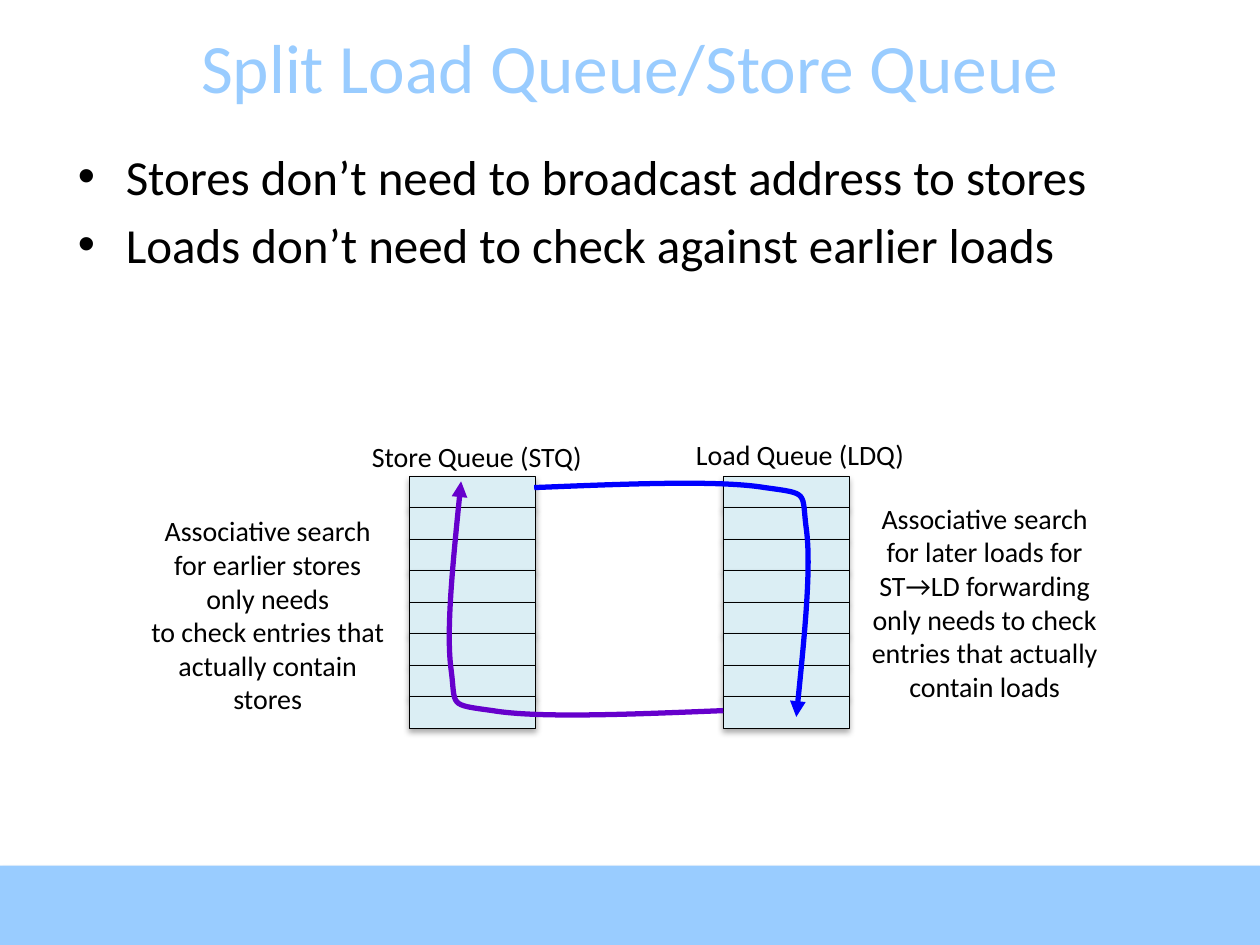
from lxml.etree import SubElement
from pptx import Presentation
from pptx.dml.color import RGBColor
from pptx.enum.shapes import MSO_SHAPE as Shape
from pptx.enum.text import MSO_ANCHOR as Anchor, PP_ALIGN as Align
from pptx.oxml.ns import qn
from pptx.util import Inches, Pt

# The slide is a grid of 40 columns by 30 rows; a queue entry is one row high
COLUMNS, ROWS = 40, 30
UNIT = Inches(0.25)
SKY, ENTRY_BLUE, BLACK = "99CCFF", "DBEEF4", "000000"
BLUE, PURPLE = "0000FF", "6600CC"
QUEUE_TOP, ENTRY_COUNT, ENTRY_WIDTH = 15.12, 8, 4
STORE_COLUMN, LOAD_COLUMN = 13, 22.96

# Start point, then three points for each Bezier piece
LOAD_SEARCH = [
    (16.96, 15.48),
    (19.92, 15.36), (22.84, 15.24), (24.28, 15.48),
    (25.72, 15.68), (25.44, 15.6), (25.6, 16.8),
    (25.76, 18), (25.52, 20.4), (25.28, 22.76),
]
# The store search is the load search after a half turn
STORE_SEARCH = [(39.92 - col, 38.04 - row) for col, row in LOAD_SEARCH]


def grid(*lengths):
    return [round(length * UNIT) for length in lengths]


def color(hex_code):
    return RGBColor.from_string(hex_code)


def add_text(shapes, box, lines, size=16, ink=BLACK, align=Align.CENTER,
             anchor=Anchor.TOP, wrap=True, bullet=None, gap=0):
    frame = shapes.add_textbox(*grid(*box)).text_frame
    frame.word_wrap = wrap
    frame.vertical_anchor = anchor
    for index, line in enumerate(lines):
        paragraph = frame.paragraphs[0] if index == 0 else frame.add_paragraph()
        paragraph.alignment = align
        paragraph.space_before = Pt(gap if index else 0)
        if bullet:
            properties = paragraph._p.get_or_add_pPr()
            properties.set("marL", str(Inches(0.38)))
            properties.set("indent", str(-Inches(0.38)))
            SubElement(properties, qn("a:buFont"), typeface="Arial")
            SubElement(properties, qn("a:buChar"), char=bullet)
        run = paragraph.add_run()
        run.text = line
        run.font.name = "Calibri"
        run.font.size = Pt(size)
        run.font.color.rgb = color(ink)


def add_block(shapes, box, fill, outline=None, blur=3.5, drop=2.2, opacity=32):
    block = shapes.add_shape(Shape.RECTANGLE, *grid(*box))
    block.fill.solid()
    block.fill.fore_color.rgb = color(fill)
    if outline:
        block.line.color.rgb = color(outline)
        block.line.width = Pt(0.75)
    else:
        block.line.fill.background()
    # Soft shadow straight below the block
    block.shadow.inherit = False
    effects = block.element.spPr.find(qn("a:effectLst"))
    shadow = SubElement(effects, qn("a:outerShdw"), blurRad=str(Pt(blur)),
                        dist=str(Pt(drop)), dir="5400000", rotWithShape="0")
    tone = SubElement(shadow, qn("a:srgbClr"), val=BLACK)
    SubElement(tone, qn("a:alpha"), val=str(opacity * 1000))


def add_queue(shapes, column):
    for entry in range(ENTRY_COUNT):
        add_block(shapes, (column, QUEUE_TOP + entry, ENTRY_WIDTH, 1),
                  ENTRY_BLUE, outline=BLACK)


def add_search_arrow(shapes, points, ink):
    start, *rest = [grid(*point) for point in points]
    builder = shapes.build_freeform(*start)
    builder.add_line_segments(rest, close=False)
    arrow = builder.convert_to_shape()
    arrow.shadow.inherit = False
    arrow.fill.background()
    arrow.line.color.rgb = color(ink)
    arrow.line.width = Pt(3)
    outline = arrow.element.spPr.find(qn("a:ln"))
    SubElement(outline, qn("a:tailEnd"), type="triangle")
    # Join every three straight segments into one Bezier piece
    route = next(arrow.element.iter(qn("a:path")))
    segments = route.findall(qn("a:lnTo"))
    for first in range(0, len(segments), 3):
        curve = SubElement(route, qn("a:cubicBezTo"))
        for segment in segments[first:first + 3]:
            curve.append(segment[0])
            route.remove(segment)


def add_search(slide, points, ink, note_box, note, wrap):
    search = slide.shapes.add_group_shape().shapes
    add_search_arrow(search, points, ink)
    add_text(search, note_box, note, wrap=wrap)


def main():
    deck = Presentation()
    deck.slide_width, deck.slide_height = grid(COLUMNS, ROWS)
    slide = deck.slides.add_slide(deck.slide_layouts[6])
    shapes = slide.shapes

    # Footer band, title and main points
    add_block(shapes, (0, 27.48, COLUMNS, 2.52), SKY,
              blur=3.1, drop=1.8, opacity=35)
    add_text(shapes, (0, 0.84, COLUMNS, 2.52), ["Split Load Queue/Store Queue"],
             size=39.6, ink=SKY, anchor=Anchor.MIDDLE)
    add_text(shapes, (2.08, 4.44, 36, 22.24),
             ["Stores don’t need to broadcast address to stores",
              "Loads don’t need to check against earlier loads"],
             size=28, align=Align.LEFT, bullet="•", gap=5.6)

    # The two queues and their names
    add_queue(shapes, STORE_COLUMN)
    add_queue(shapes, LOAD_COLUMN)
    add_text(shapes, (11.12, 13.76, 8.04, 1.48), ["Store Queue (STQ)"], wrap=False)
    add_text(shapes, (21.4, 13.68, 8, 1.48), ["Load Queue (LDQ)"], wrap=False)

    # Searches from one queue into the other
    add_search(slide, STORE_SEARCH, PURPLE, (4.36, 16.12, 8.28, 6.8),
               ["Associative search for earlier stores only needs",
                "to check entries that actually contain stores"], wrap=True)
    add_search(slide, LOAD_SEARCH, BLUE, (27.24, 15.72, 8.04, 6.8),
               ["Associative search", "for later loads for", "ST→LD forwarding",
                "only needs to check", "entries that actually", "contain loads"],
               wrap=False)

    deck.save("out.pptx")


if __name__ == "__main__":
    main()
